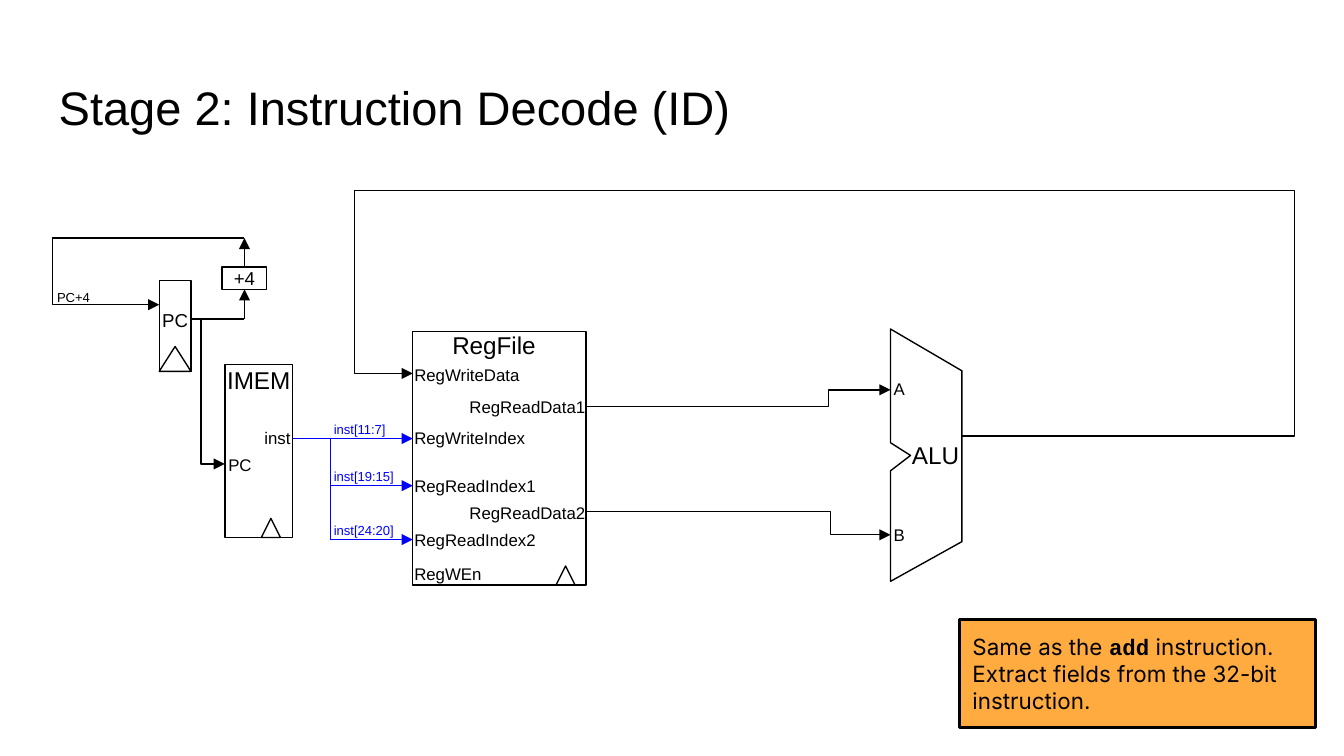
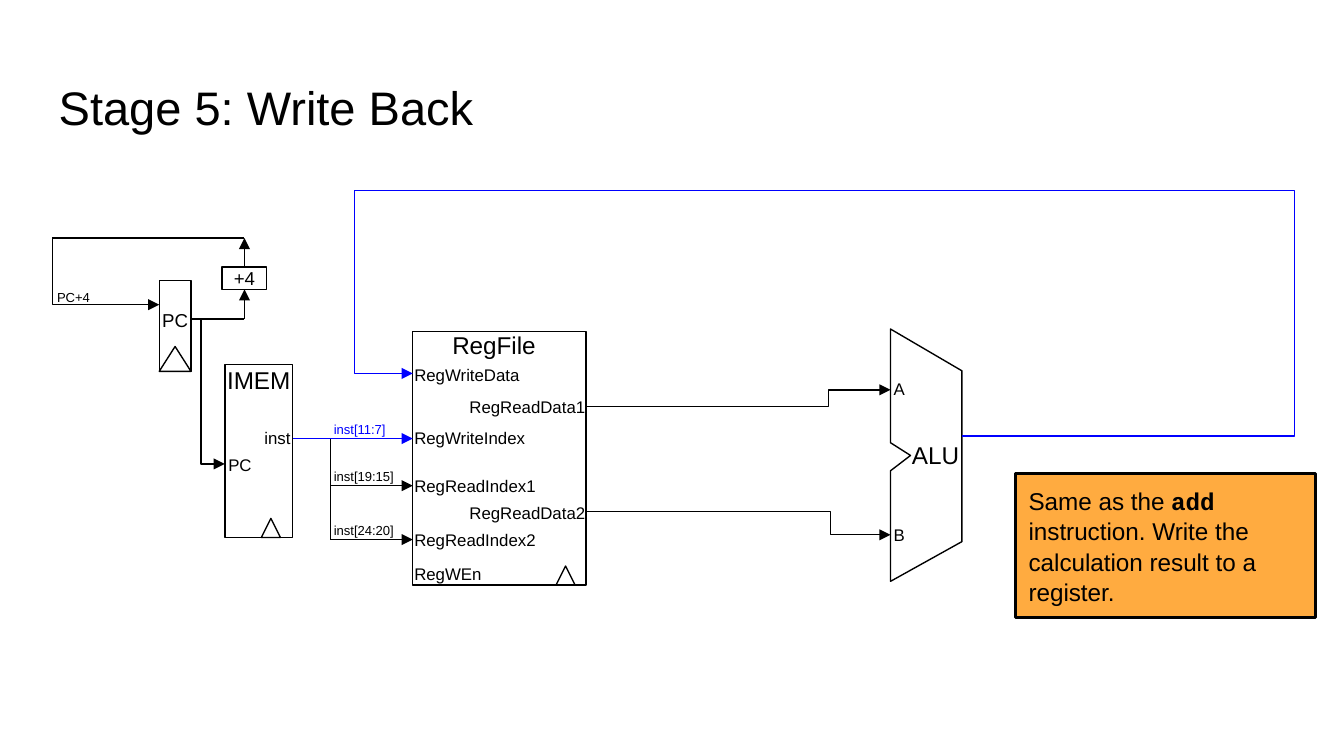
from dataclasses import dataclass

from lxml.etree import SubElement
from pptx import Presentation
from pptx.dml.color import RGBColor
from pptx.enum.shapes import MSO_CONNECTOR as Connector, MSO_SHAPE as Preset
from pptx.enum.text import MSO_ANCHOR as Anchor, MSO_AUTO_SIZE as AutoSize, PP_ALIGN as Align
from pptx.oxml.ns import qn
from pptx.util import Cm, Pt


@dataclass(frozen=True)
class Theme:
    ink: str = "000000"
    active: str = "0000FF"
    note_fill: str = "FFAB40"
    font: str = "Arial"
    code_font: str = "Courier New"
    title_size: float = 25.2
    block_size: float = 13
    small_block_size: float = 10
    port_size: float = 9
    wire_size: float = 7
    line_width: float = 0.75
    note_line_width: float = 1.5
    inset: float = 0.25


@dataclass(frozen=True)
class Box:
    """A rectangle in centimetres."""
    left: float
    top: float
    width: float
    height: float

    @property
    def right(self):
        return self.left + self.width

    def at(self, x, y):
        return self.left + x, self.top + y

    def lengths(self):
        return [Cm(value) for value in (self.left, self.top, self.width, self.height)]


@dataclass(frozen=True)
class Note:
    box: Box
    ending: str
    font: str
    size: float
    line_spacing: float


THEME = Theme()
SLIDE = Box(0, 0, 25.4, 14.29)
TITLE = Box(0.86, 1.24, 23.67, 1.6)
PC = Box(3.01, 5.3, 0.6, 1.72)
ADDER = Box(4.2, 5.05, 0.84, 0.42)
IMEM = Box(4.25, 6.89, 1.28, 3.27)
REGFILE = Box(7.8, 6.27, 3.28, 4.79)
ALU = Box(16.83, 6.22, 1.35, 4.77)

# Heights of the ports below the top of their blocks
PC_IN, PC_OUT = 0.46, 0.73
IMEM_PC = 1.88
WRITE_DATA, WRITE_INDEX, READ_INDEX_1, READ_INDEX_2 = 0.79, 2.02, 2.91, 3.93
READ_DATA_1, READ_DATA_2 = 1.41, 3.4
ALU_A, ALU_B, ALU_OUT = 1.15, 3.89, 2.02


def rgb(color):
    return RGBColor.from_string(color)


def style_line(shape, color, width=THEME.line_width, arrow=False):
    shape.line.color.rgb = rgb(color)
    shape.line.width = Pt(width)
    if arrow:
        line = shape._element.spPr.find(qn("a:ln"))
        SubElement(line, qn("a:tailEnd"), type="triangle")


def style_font(font, size, color=THEME.ink, name=THEME.font, bold=False):
    font.size, font.name, font.bold = Pt(size), name, bold
    font.color.rgb = rgb(color)


def set_insets(text_frame, inset):
    text_frame.margin_left = text_frame.margin_right = Cm(inset)
    text_frame.margin_top = text_frame.margin_bottom = Cm(inset)


def write_line(text_frame, text, size, color=THEME.ink, align=Align.LEFT):
    text_frame.text = text
    paragraph = text_frame.paragraphs[0]
    paragraph.alignment = align
    style_font(paragraph.runs[0].font, size, color)


def add_label(slide, text, position, width, size, color=THEME.ink, align=Align.LEFT):
    """Write one line of text in a box as high as that line."""
    box = Box(*position, width, size * 0.0423)
    text_frame = slide.shapes.add_textbox(*box.lengths()).text_frame
    set_insets(text_frame, 0)
    text_frame.word_wrap = True
    write_line(text_frame, text, size, color, align)


def add_outline(slide, preset, box):
    shape = slide.shapes.add_shape(preset, *box.lengths())
    shape.shadow.inherit = False
    shape.fill.background()
    style_line(shape, THEME.ink)
    return shape


def add_clock_mark(slide, box, x, width=0.36, height=0.36):
    """Stand a clock triangle on the bottom edge of a block."""
    mark = Box(*box.at(x, box.height - height), width, height)
    add_outline(slide, Preset.ISOSCELES_TRIANGLE, mark)


def add_wire(slide, start, end, color=THEME.ink, arrow=False):
    points = [Cm(value) for value in (*start, *end)]
    wire = slide.shapes.add_connector(Connector.STRAIGHT, *points)
    style_line(wire, color, arrow=arrow)
    SubElement(wire._element.spPr, qn("a:effectLst"))
    return wire


def add_path(slide, points, color=THEME.ink, closed=False):
    """Draw a closed outline, or a bent wire that ends in an arrowhead."""
    start, *others = [(Cm(x), Cm(y)) for x, y in points]
    builder = slide.shapes.build_freeform(*start, scale=1.0)
    builder.add_line_segments(others, close=closed)
    shape = builder.convert_to_shape()
    shape.shadow.inherit = False
    shape.fill.background()
    style_line(shape, color, arrow=not closed)


def set_title(slide, box, text):
    title = slide.shapes.title
    title.left, title.top, title.width, title.height = box.lengths()
    text_frame = title.text_frame
    set_insets(text_frame, THEME.inset)
    text_frame.auto_size = AutoSize.NONE
    text_frame.vertical_anchor = Anchor.TOP
    write_line(text_frame, text, THEME.title_size)


def draw_pc(slide, box):
    add_outline(slide, Preset.RECTANGLE, box)
    add_clock_mark(slide, box, 0, box.width, 0.47)
    add_label(slide, "PC", box.at(0, 0.54), box.width, THEME.small_block_size,
              align=Align.CENTER)


def draw_adder(slide, box):
    adder = add_outline(slide, Preset.RECTANGLE, box)
    set_insets(adder.text_frame, 0)
    adder.text_frame.vertical_anchor = Anchor.MIDDLE
    write_line(adder.text_frame, "+4", THEME.small_block_size, align=Align.CENTER)
    return adder


def draw_imem(slide, box):
    add_outline(slide, Preset.RECTANGLE, box)
    add_label(slide, "IMEM", box.at(0, 0.02), box.width, THEME.block_size, align=Align.CENTER)
    add_label(slide, "inst", box.at(0.55, 1.19), 0.69, THEME.port_size, align=Align.RIGHT)
    add_label(slide, "PC", box.at(0.02, 1.7), 0.53, THEME.port_size, align=Align.CENTER)
    add_clock_mark(slide, box, 0.69)


def draw_regfile(slide, box):
    add_outline(slide, Preset.RECTANGLE, box)
    add_label(slide, "RegFile", box.at(0.02, -0.02), box.width - THEME.inset,
              THEME.block_size, align=Align.CENTER)
    inputs = [("RegWriteData", 0.62, 2.01), ("RegWriteIndex", 1.81, 2.16),
              ("RegReadIndex1", 2.73, 2.32), ("RegReadIndex2", 3.74, 2.32),
              ("RegWEn", 4.38, 1.32)]
    for text, y, width in inputs:
        add_label(slide, text, box.at(0.03, y), width, THEME.port_size)
    for text, y in [("RegReadData1", 1.23), ("RegReadData2", 3.23)]:
        add_label(slide, text, box.at(1.03, y), 2.23, THEME.port_size, align=Align.RIGHT)
    add_clock_mark(slide, box, 2.71)


def draw_alu(slide, box):
    outline = [(0, 2.15), (0, 0), (box.width, 0.79), (box.width, 4.02),
               (0, box.height), (0, 2.68), (0.38, 2.39)]
    add_path(slide, [box.at(x, y) for x, y in outline], closed=True)
    add_label(slide, "ALU", box.at(0.38, 2.11), 0.94, THEME.block_size, align=Align.CENTER)
    for text, y in [("A", 0.94), ("B", 3.69)]:
        add_label(slide, text, box.at(0.06, y), 0.27, THEME.port_size)


def draw_pc_loop(slide, pc, adder_box, imem):
    """Wire the PC to the adder and back, and to the instruction memory."""
    adder = draw_adder(slide, adder_box)
    center = adder_box.left + adder_box.width / 2
    left, top = 0.99, adder_box.top - 0.55
    pc_in, pc_out = pc.top + PC_IN, pc.top + PC_OUT
    add_wire(slide, (left, top), (center, top))
    add_path(slide, [(left, top), (left, pc_in), (pc.left, pc_in)])
    add_label(slide, "PC+4", (left + 0.04, pc_in - 0.28), 0.72, THEME.wire_size,
              align=Align.CENTER)

    add_wire(slide, (pc.right, pc_out), (center, pc_out))
    incoming = add_wire(slide, (center, pc_out), (center, adder_box.top), arrow=True)
    incoming.end_connect(adder, 2)
    outgoing = add_wire(slide, (center, adder_box.top), (center, top), arrow=True)
    outgoing.begin_connect(adder, 0)

    branch, imem_in = pc.right + 0.19, imem.top + IMEM_PC
    add_path(slide, [(branch, pc_out), (branch, imem_in), (imem.left, imem_in)])


def draw_instruction_fields(slide, imem, regfile, read_color):
    """Split the instruction into the three register indices."""
    branch = imem.right + 0.72
    first, last = regfile.top + WRITE_INDEX, regfile.top + READ_INDEX_2
    fields = [("inst[11:7]", WRITE_INDEX, imem.right, THEME.active),
              ("inst[19:15]", READ_INDEX_1, branch, read_color),
              ("inst[24:20]", READ_INDEX_2, branch, read_color)]
    for text, port, start, color in fields:
        y = regfile.top + port
        add_wire(slide, (start, y), (regfile.left, y), color, arrow=True)
        add_label(slide, text, (branch + 0.06, y - 0.33), 1.24, THEME.wire_size, color)
    add_wire(slide, (branch, first), (branch, last), read_color)


def draw_operands(slide, regfile, alu):
    operands = [(READ_DATA_1, ALU_A, 1.17), (READ_DATA_2, ALU_B, 1.13)]
    for source, target, gap in operands:
        start, end = regfile.at(regfile.width, source), alu.at(0, target)
        bend = alu.left - gap
        add_path(slide, [start, (bend, start[1]), (bend, end[1]), end])


def draw_write_back(slide, alu, regfile, color):
    start, end = alu.at(alu.width, ALU_OUT), regfile.at(0, WRITE_DATA)
    left, right, top = regfile.left - 1.1, 24.46, 3.6
    add_path(slide, [start, (right, start[1]), (right, top), (left, top),
                     (left, end[1]), end], color)


def draw_note(slide, note):
    shape = slide.shapes.add_shape(Preset.RECTANGLE, *note.box.lengths())
    shape.shadow.inherit = False
    shape.fill.solid()
    shape.fill.fore_color.rgb = rgb(THEME.note_fill)
    style_line(shape, THEME.ink, THEME.note_line_width)
    text_frame = shape.text_frame
    set_insets(text_frame, THEME.inset)
    text_frame.word_wrap = True
    text_frame.vertical_anchor = Anchor.MIDDLE
    paragraph = text_frame.paragraphs[0]
    paragraph.alignment = Align.LEFT
    paragraph.line_spacing = note.line_spacing
    pieces = [("Same as the ", note.font, False), ("add", THEME.code_font, True),
              (f" instruction. {note.ending}", note.font, False)]
    for text, font, bold in pieces:
        run = paragraph.add_run()
        run.text = text
        style_font(run.font, note.size, name=font, bold=bold)


def add_stage_slide(presentation, title, read_color, write_back_color, note):
    slide = presentation.slides.add_slide(presentation.slide_layouts[5])
    set_title(slide, TITLE, title)
    draw_pc(slide, PC)
    draw_imem(slide, IMEM)
    draw_regfile(slide, REGFILE)
    draw_alu(slide, ALU)
    draw_pc_loop(slide, PC, ADDER, IMEM)
    draw_instruction_fields(slide, IMEM, REGFILE, read_color)
    draw_operands(slide, REGFILE, ALU)
    draw_write_back(slide, ALU, REGFILE, write_back_color)
    draw_note(slide, note)


def main():
    presentation = Presentation()
    presentation.slide_width, presentation.slide_height = SLIDE.lengths()[2:]
    add_stage_slide(
        presentation, "Stage 2: Instruction Decode (ID)", THEME.active, THEME.ink,
        Note(Box(18.13, 11.71, 6.74, 2.05),
             "Extract fields from the 32-bit instruction.", "Inter", 12, 1.0))
    add_stage_slide(
        presentation, "Stage 5: Write Back", THEME.ink, THEME.active,
        Note(Box(19.19, 8.95, 5.68, 2.73),
             "Write the calculation result to a register.", THEME.font, 13, 1.05))
    presentation.save("out.pptx")


if __name__ == "__main__":
    main()
